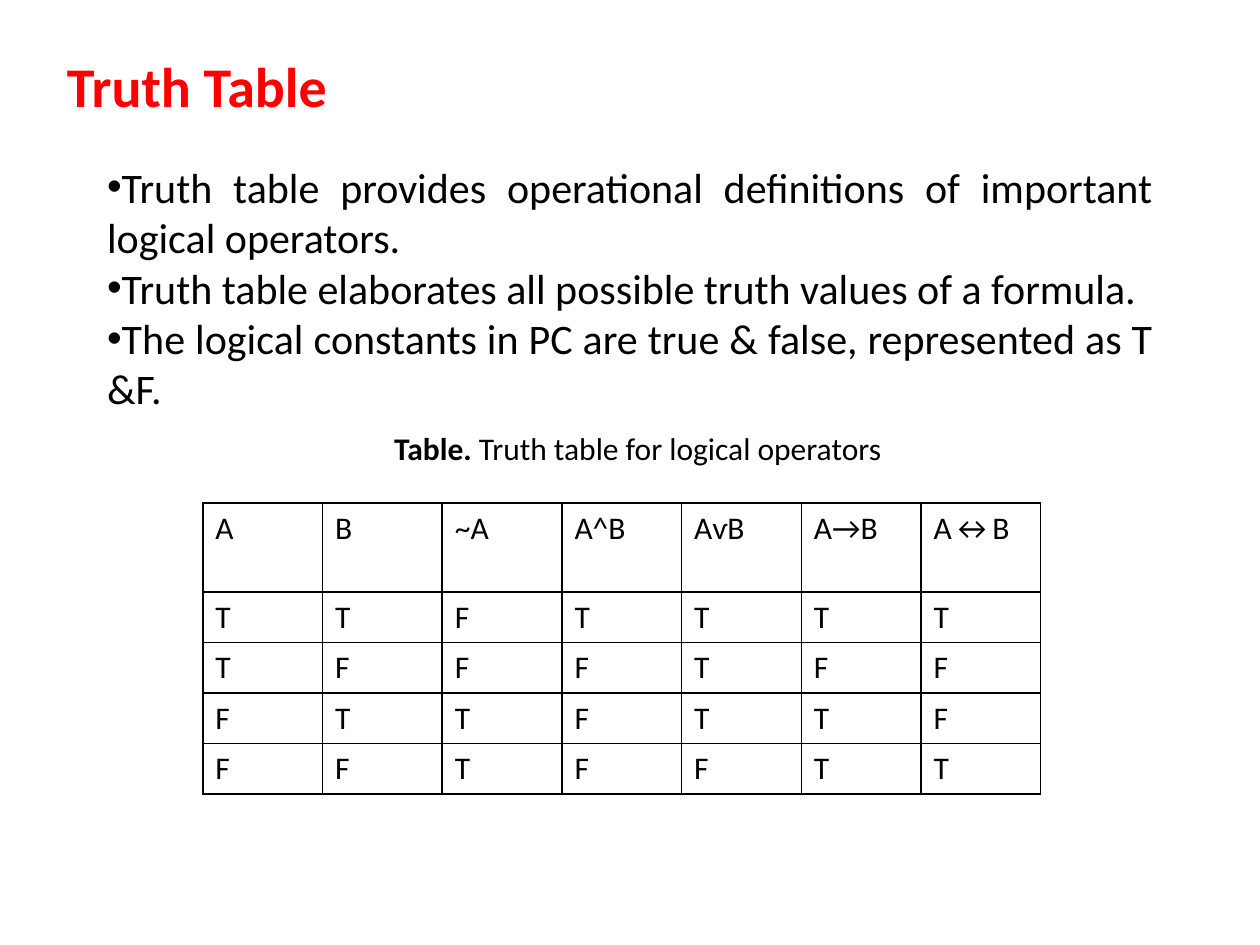
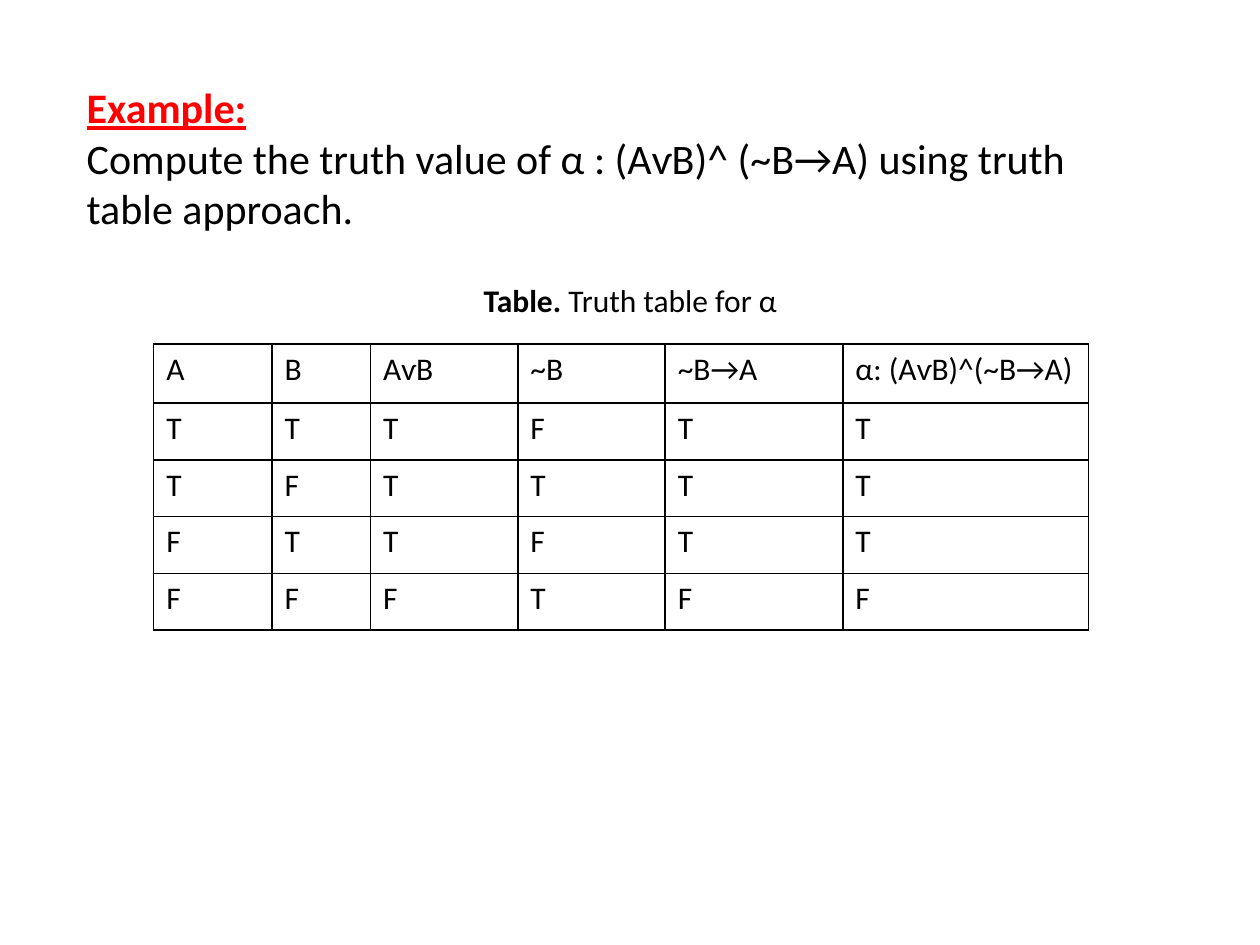
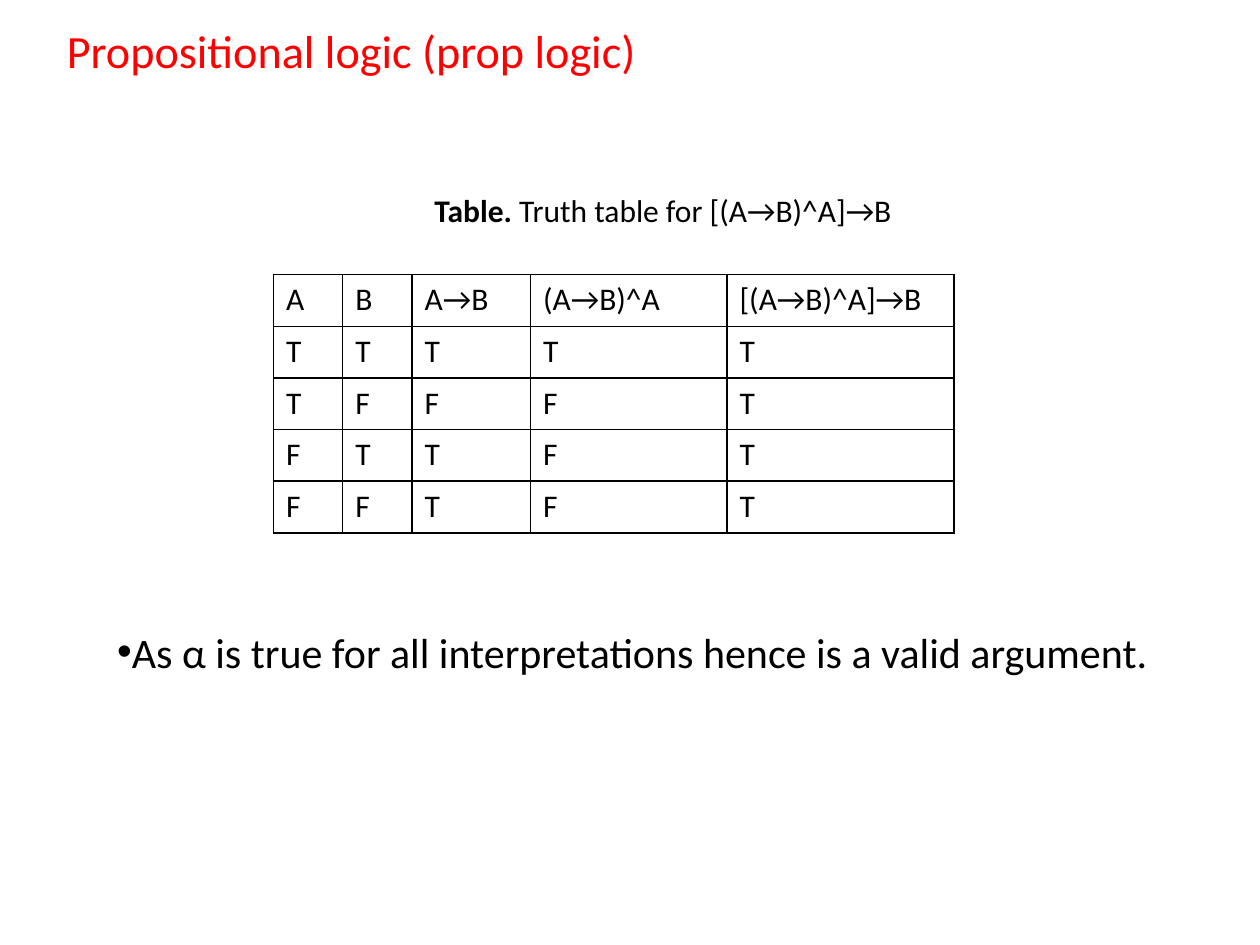
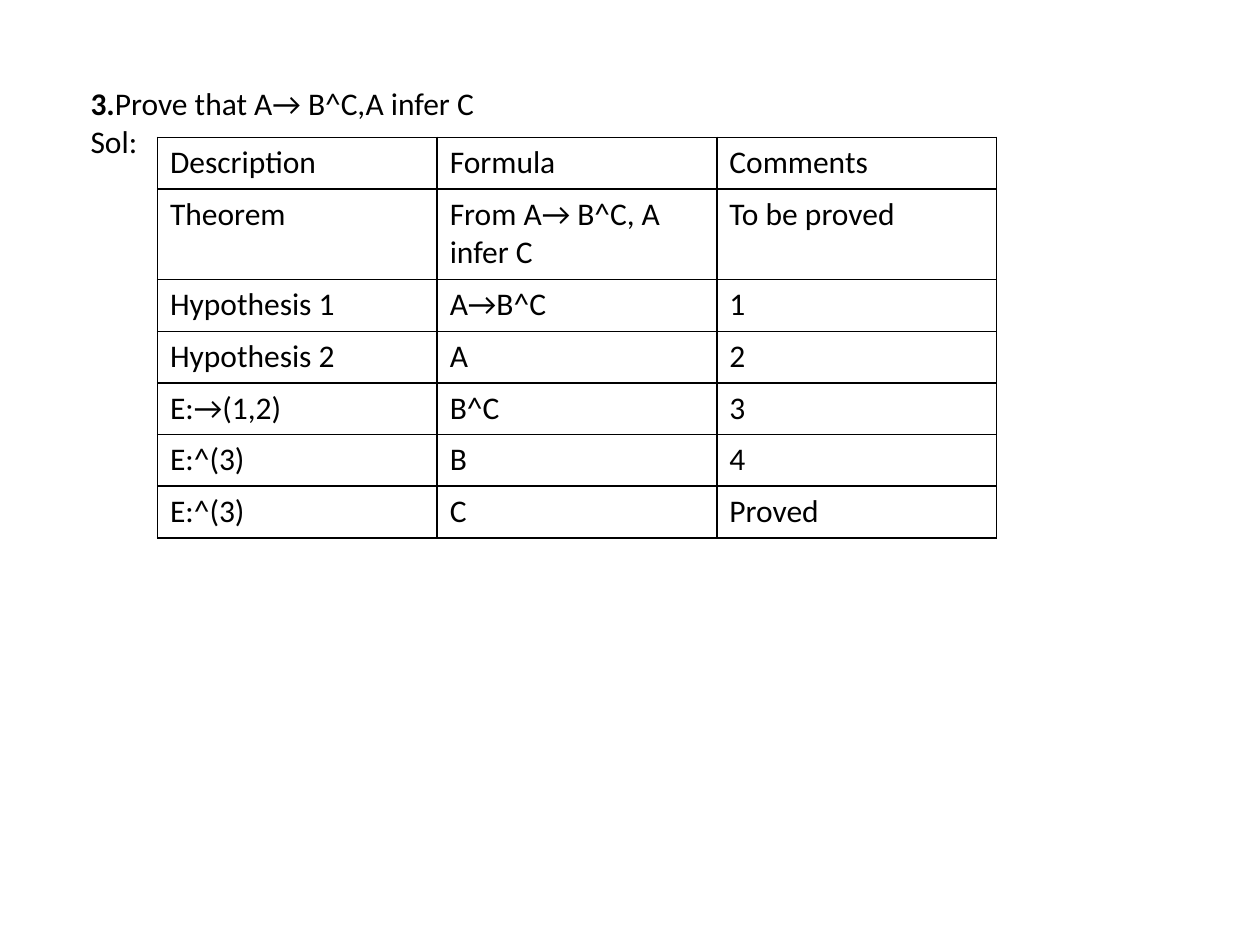
from lxml.etree import SubElement
from pptx import Presentation
from pptx.dml.color import RGBColor
from pptx.enum.text import MSO_ANCHOR as Anchor, MSO_AUTO_SIZE as Fit, PP_ALIGN as Align
from pptx.oxml.ns import qn
from pptx.util import Inches, Pt

BLACK = RGBColor(0x00, 0x00, 0x00)
RED = RGBColor(0xFF, 0x00, 0x00)
FACE = "Calibri"
LISTED, BLANK = 1, 6


def add_run(para, text, size, color=BLACK, bold=False, under=False):
    run = para.add_run()
    run.text = text
    font = run.font
    font.name, font.size = FACE, Pt(size)
    font.bold, font.underline = bold, under
    font.color.rgb = color


def place(shape, box):
    shape.left, shape.top, shape.width, shape.height = map(Inches, box)


def next_para(frame, index):
    return frame.add_paragraph() if index else frame.paragraphs[0]


def set_title(slide, box, text, size, bold=False, anchor=Anchor.MIDDLE, lead=1.0):
    title = slide.shapes.title
    place(title, box)
    frame = title.text_frame
    frame.auto_size, frame.vertical_anchor = Fit.NONE, anchor
    para = frame.paragraphs[0]
    para.alignment, para.line_spacing = Align.LEFT, lead
    add_run(para, text, size, RED, bold)


def set_list(slide, box, items, align=Align.LEFT, wrap=True):
    body = slide.placeholders[1]
    place(body, box)
    frame = body.text_frame
    frame.auto_size, frame.word_wrap = Fit.NONE, wrap
    for index, item in enumerate(items):
        para = next_para(frame, index)
        props = para._p.get_or_add_pPr()
        props.set("marL", "0")
        props.set("indent", "0")
        SubElement(props, qn("a:buChar")).set("char", "•")
        para.alignment, para.space_before = align, Pt(0)
        add_run(para, item, 24)


def add_text(slide, box, lines, size, wrap=False):
    frame = slide.shapes.add_textbox(*map(Inches, box)).text_frame
    frame.word_wrap = wrap
    for index, line in enumerate(lines):
        para = next_para(frame, index)
        for text, style in line:
            add_run(para, text, size, **style)


def add_caption(slide, box, text):
    add_text(slide, box, [[("Table. ", {"bold": True}), (text, {})]], 18)


def frame_cell(cell):
    props = cell._tc.get_or_add_tcPr()
    for side in ("lnL", "lnR", "lnT", "lnB"):
        line = SubElement(props, qn(f"a:{side}"))
        line.set("w", str(Pt(1)))
        fill = SubElement(line, qn("a:solidFill"))
        SubElement(fill, qn("a:srgbClr")).set("val", str(BLACK))
    cell.fill.background()


def add_grid(slide, left, top, cols, rows, data):
    box = (left, top, sum(cols), sum(rows))
    table = slide.shapes.add_table(len(rows), len(cols), *map(Inches, box)).table
    table.first_row = table.horz_banding = False
    for col, width in zip(table.columns, cols):
        col.width = Inches(width)
    for row, height, texts in zip(table.rows, rows, data):
        row.height = Inches(height)
        for cell, text in zip(row.cells, texts):
            frame_cell(cell)
            add_run(cell.text_frame.paragraphs[0], text, 18)


def truth(heads, *rows):
    return [heads.split("|"), *rows]


def show_truth(deck):
    slide = deck.slides.add_slide(deck.slide_layouts[LISTED])
    set_title(slide, (0.43, 0.36, 8.5, 0.63), "Truth Table", 32, bold=True)
    set_list(slide, (0.75, 1.23, 8.5, 2.12), [
        "Truth table provides operational definitions of important logical operators.",
        "Truth table elaborates all possible truth values of a formula.",
        "The logical constants in PC are true & false, represented as T &F.",
    ], Align.JUSTIFY)
    add_caption(slide, (3.03, 3.36, 4.09, 0.4), "Truth table for logical operators")
    data = truth("A|B|~A|A^B|AѵB|A→B|A↔B", "TTFTTTT", "TFFFTFF", "FTTFTTF", "FFTFFTT")
    add_grid(slide, 1.61, 3.99, [0.95] * 7, [0.71] + [0.4] * 4, data)


def show_sample(deck):
    slide = deck.slides.add_slide(deck.slide_layouts[BLANK])
    add_text(slide, (0.59, 0.6, 8.46, 1.62), [
        [("Example:", {"color": RED, "bold": True, "under": True})],
        [("Compute the truth value of α : (AѵB)^ (~B→A) using truth table approach.", {})],
    ], 24, wrap=True)
    add_caption(slide, (3.74, 2.18, 2.55, 0.4), "Truth table for α")
    data = truth("A|B|AѵB|~B|~B→A|α: (AѵB)^(~B→A)", "TTTFTT", "TFTTTT", "FTTFTT", "FFFTFF")
    add_grid(slide, 1.22, 2.73, [0.94, 0.78, 1.17, 1.17, 1.41, 1.95],
             [0.47] + [0.45] * 4, data)


def show_logic(deck):
    slide = deck.slides.add_slide(deck.slide_layouts[LISTED])
    set_title(slide, (0.43, 0.21, 8.5, 0.87), "Propositional logic (prop logic)", 26.4,
              anchor=Anchor.TOP, lead=0.8)
    add_caption(slide, (3.35, 1.47, 3.86, 0.4), "Truth table for [(A→B)^A]→B")
    data = truth("A|B|A→B|(A→B)^A|[(A→B)^A]→B", "TTTTT", "TFFFT", "FTTFT", "FFTFT")
    add_grid(slide, 2.17, 2.18, [0.55, 0.55, 0.94, 1.56, 1.8], [0.41] * 5, data)
    set_list(slide, (0.83, 4.92, 8.46, 0.5),
             ["As α is true for all interpretations hence is a valid argument."], wrap=False)


def show_proof(deck):
    slide = deck.slides.add_slide(deck.slide_layouts[BLANK])
    add_text(slide, (0.62, 0.62, 3.28, 1.01), [
        [("3.", {"bold": True}), ("Prove that A→ B^C,A infer C", {})],
        [("Sol:", {})],
    ], 18)
    add_grid(slide, 1.25, 1.09, [2.22] * 3, [0.41, 0.72] + [0.41] * 5, [
        ("Description", "Formula", "Comments"),
        ("Theorem", "From A→ B^C, A infer C", "To be proved"),
        ("Hypothesis 1", "A→B^C", "1"),
        ("Hypothesis 2", "A", "2"),
        ("E:→(1,2)", "B^C", "3"),
        ("E:^(3)", "B", "4"),
        ("E:^(3)", "C", "Proved"),
    ])


def main():
    deck = Presentation()
    deck.slide_width, deck.slide_height = Inches(10), Inches(7.5)
    for show in (show_truth, show_sample, show_logic, show_proof):
        show(deck)
    deck.save("out.pptx")


if __name__ == "__main__":
    main()
